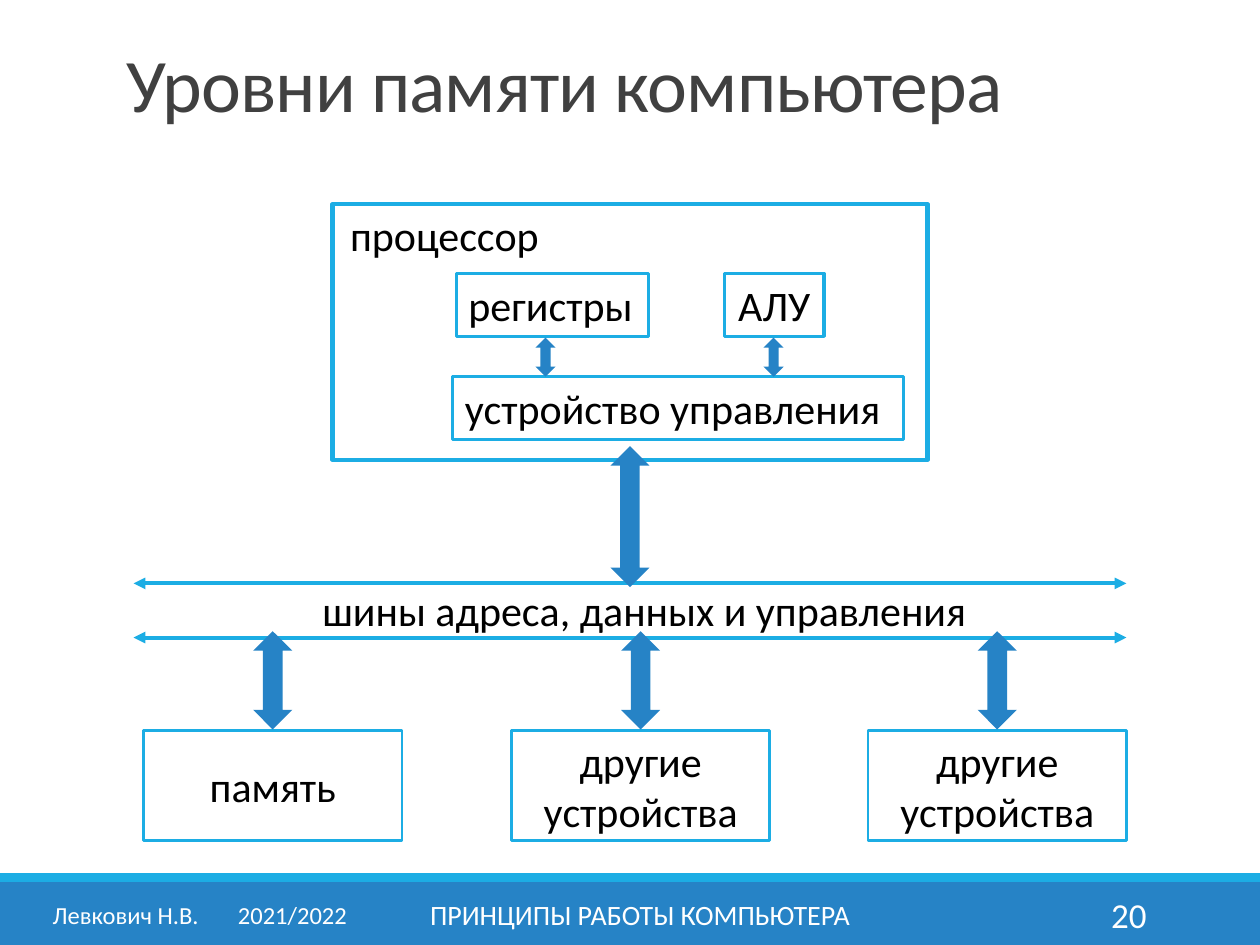
"""Build a slide that shows the memory levels of a computer."""
from typing import NamedTuple, Optional

from lxml import etree
from pptx import Presentation
from pptx import util as u
from pptx.dml.color import RGBColor
from pptx.enum import shapes, text
from pptx.oxml import ns

BLUE = RGBColor(0x26, 0x83, 0xC6)
CYAN = RGBColor(0x1C, 0xAD, 0xE4)
BLACK = RGBColor(0, 0, 0)
WHITE = RGBColor(0xFF, 0xFF, 0xFF)
GREY = RGBColor(0x40, 0x40, 0x40)
FONT = "Calibri"
LEFT, CENTER, RIGHT = text.PP_ALIGN.LEFT, text.PP_ALIGN.CENTER, text.PP_ALIGN.RIGHT
TOP, MIDDLE = text.MSO_ANCHOR.TOP, text.MSO_ANCHOR.MIDDLE


class Area(NamedTuple):
    left: float
    top: float
    width: float
    height: float


class Label(NamedTuple):
    words: str
    area: Area
    size: float = 24
    color: RGBColor = BLACK
    align: int = LEFT
    anchor: int = TOP


class Block(NamedTuple):
    label: Label
    border: float


def inches(area: Area) -> list:
    return [u.Inches(length) for length in area]


def write(shape, label: Label):
    frame = shape.text_frame
    frame.auto_size = text.MSO_AUTO_SIZE.NONE
    frame.word_wrap = True
    frame.vertical_anchor = label.anchor
    paragraph = frame.paragraphs[0]
    paragraph.alignment = label.align
    run = paragraph.add_run()
    run.text = label.words
    run.font.name = FONT
    run.font.size = u.Pt(label.size)
    run.font.color.rgb = label.color
    return paragraph


def add_label(parent, label: Label):
    return write(parent.add_textbox(*inches(label.area)), label)


def add_preset(slide, preset: int, area: Area, fill: Optional[RGBColor] = None,
               border: float = 0):
    shape = slide.shapes.add_shape(preset, *inches(area))
    shape.shadow.inherit = False
    if fill is None:
        shape.fill.background()
    else:
        shape.fill.solid()
        shape.fill.fore_color.rgb = fill
    if border:
        shape.line.color.rgb = CYAN
        shape.line.width = u.Pt(border)
    else:
        shape.line.fill.background()
    return shape


def add_block(slide, block: Block) -> None:
    shape = add_preset(slide, shapes.MSO_SHAPE.RECTANGLE, block.label.area,
                       border=block.border)
    write(shape, block.label)


def add_arrow(slide, center: float, top: float, width: float, height: float) -> None:
    area = Area(center - width / 2, top, width, height)
    add_preset(slide, shapes.MSO_SHAPE.UP_DOWN_ARROW, area, BLUE)


def add_bus_line(parent, top: float) -> None:
    line = parent.add_connector(shapes.MSO_CONNECTOR.STRAIGHT, u.Inches(1.06),
                                u.Inches(top), u.Inches(8.94), u.Inches(top))
    line.line.color.rgb = CYAN
    line.line.width = u.Pt(2.25)
    properties = line.line._get_or_add_ln()
    for end in ("a:headEnd", "a:tailEnd"):
        etree.SubElement(properties, ns.qn(end), type="triangle")
    etree.SubElement(line._element.spPr, ns.qn("a:effectLst"))


def add_title(slide) -> None:
    title = slide.shapes.title
    area = Area(0.9, 0.43, 8.25, 0.65)
    title.left, title.top, title.width, title.height = inches(area)
    paragraph = write(title, Label("Уровни памяти компьютера", area, 43.2, GREY,
                                   LEFT, MIDDLE))
    paragraph.line_spacing = 0.65
    paragraph.runs[0].font._element.set("spc", "-50")


def add_footer(slide) -> None:
    for area, color in ((Area(0, 7, 10, 0.5), BLUE), (Area(0, 6.93, 10, 0.07), CYAN)):
        add_preset(slide, shapes.MSO_SHAPE.RECTANGLE, area, color)
    add_label(slide.shapes, Label("20", Area(8.12, 7.06, 1.08, 0.4), 20, WHITE,
                                  RIGHT, MIDDLE))
    add_label(slide.shapes, Label("ПРИНЦИПЫ РАБОТЫ КОМПЬЮТЕРА",
                                  Area(3.02, 7.06, 4.12, 0.4), 16, WHITE, CENTER, MIDDLE))
    author = add_label(slide.shapes, Label("Левкович Н.В.\t2021/2022",
                                           Area(0.32, 7.06, 2.61, 0.4), 14, WHITE,
                                           LEFT, MIDDLE))
    tabs = etree.SubElement(author._p.get_or_add_pPr(), ns.qn("a:tabLst"))
    etree.SubElement(tabs, ns.qn("a:tab"), pos=str(u.Inches(1.47)), algn="l")


def add_bus(slide) -> None:
    bus = slide.shapes.add_group_shape()
    for top in (4.63, 5.06):
        add_bus_line(bus.shapes, top)
    add_label(bus.shapes, Label("шины адреса, данных и управления",
                                Area(2.46, 4.59, 5.37, 0.5)))


def add_devices(slide) -> None:
    width = 2.05
    devices = (("память", 1.14), ("другие устройства", 4.06), ("другие устройства", 6.89))
    for words, left in devices:
        label = Label(words, Area(left, 5.8, width, 0.87), align=CENTER, anchor=MIDDLE)
        add_block(slide, Block(label, 1.5))
        add_arrow(slide, left + width / 2, 5.01, 0.31, 0.78)


def add_processor(slide) -> None:
    add_preset(slide, shapes.MSO_SHAPE.RECTANGLE, Area(2.64, 1.62, 4.72, 2.03), border=2.5)
    add_arrow(slide, 5, 3.54, 0.31, 1.12)
    units = (
        Label("регистры", Area(3.62, 2.17, 1.53, 0.5)),
        Label("устройство управления", Area(3.59, 2.99, 3.58, 0.5)),
        Label("АЛУ", Area(5.75, 2.17, 0.79, 0.5), align=CENTER),
    )
    for label in units:
        add_block(slide, Block(label, 1.75))
    for center in (4.33, 6.14):
        add_arrow(slide, center, 2.68, 0.16, 0.31)
    add_label(slide.shapes, Label("процессор", Area(2.68, 1.61, 1.72, 0.5)))


def main() -> None:
    presentation = Presentation()
    presentation.slide_width = u.Inches(10)
    presentation.slide_height = u.Inches(7.5)
    slide = presentation.slides.add_slide(presentation.slide_layouts[5])
    add_footer(slide)
    add_title(slide)
    add_bus(slide)
    add_devices(slide)
    add_processor(slide)
    presentation.save("out.pptx")


if __name__ == "__main__":
    main()
